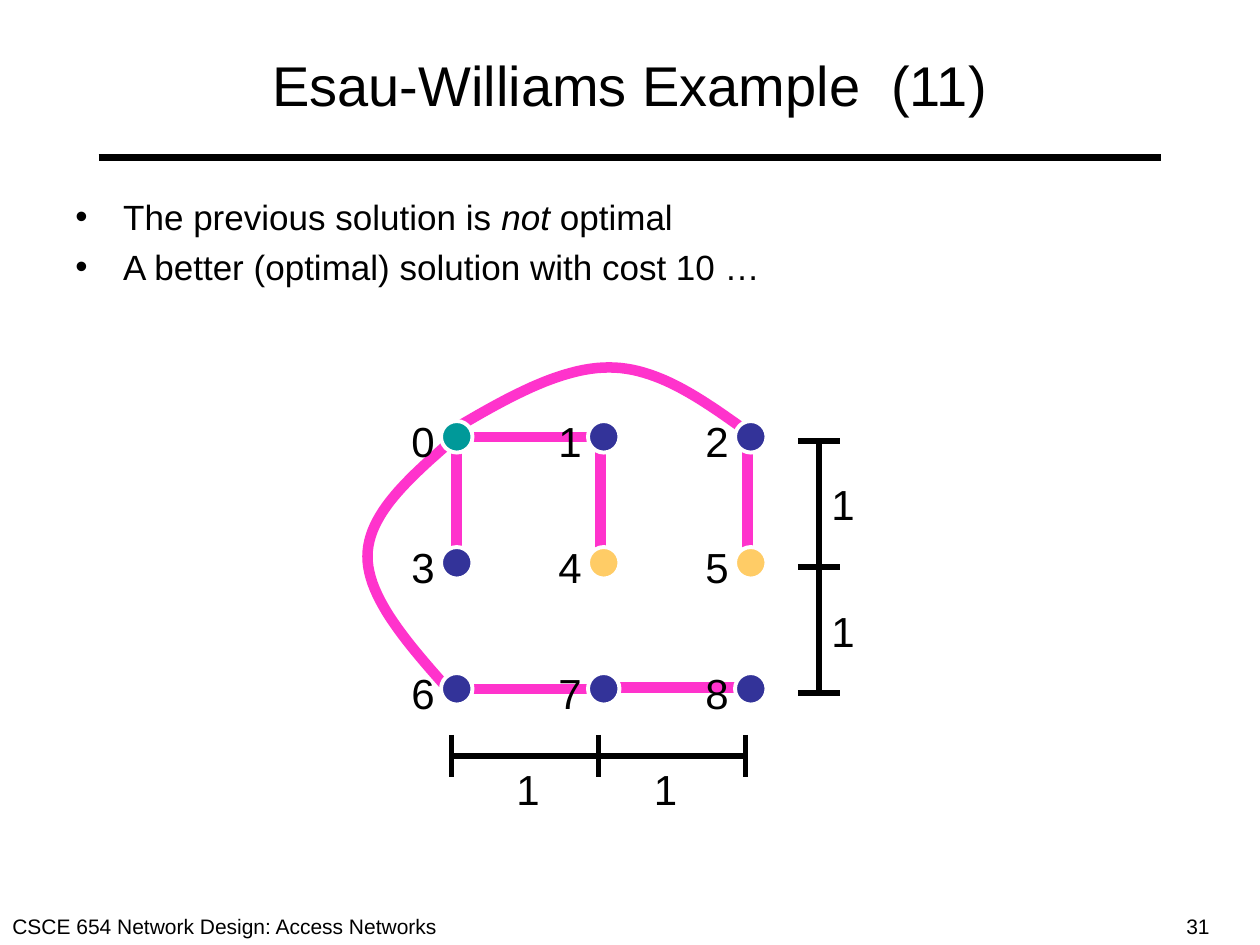
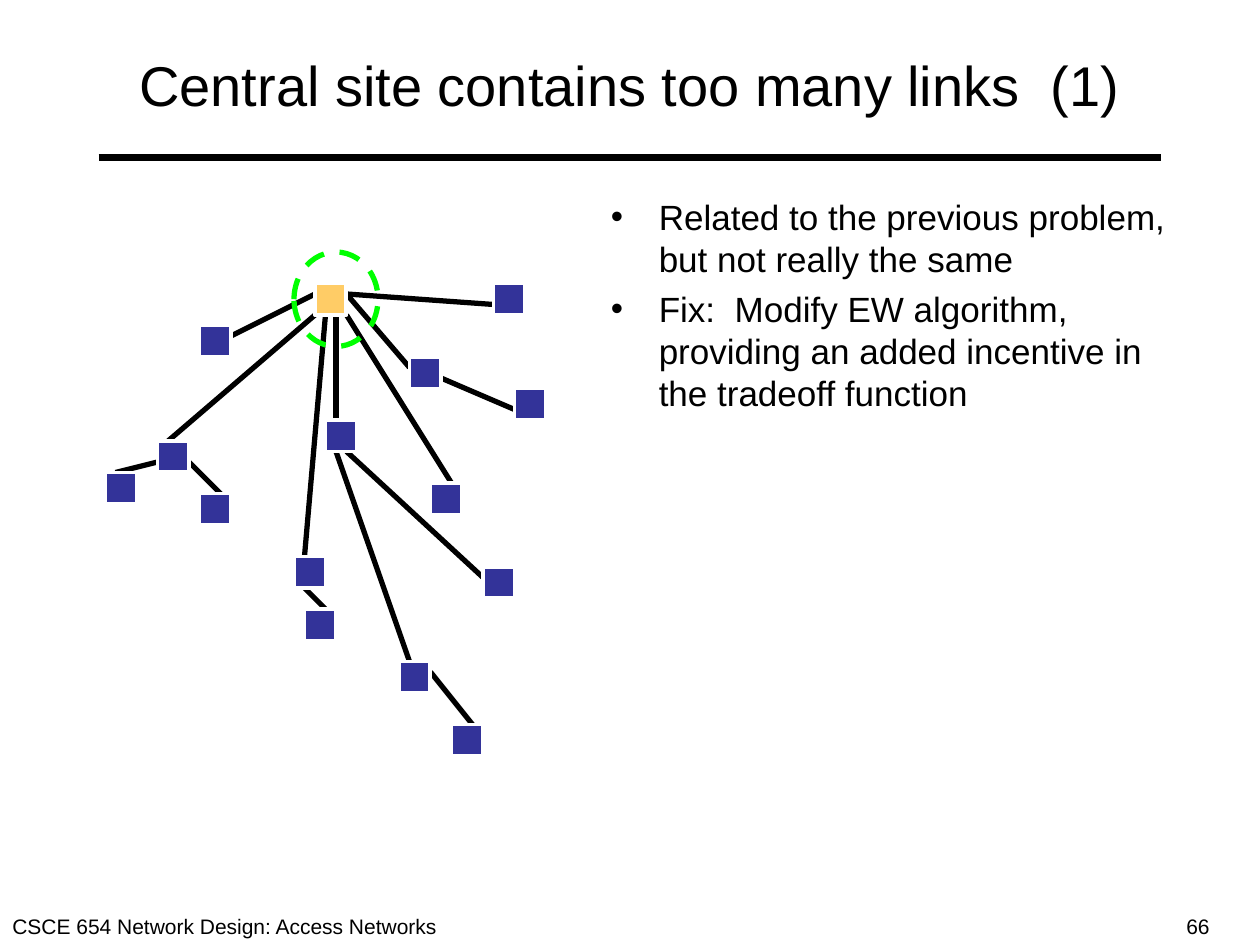
from lxml.etree import SubElement
from pptx import Presentation
from pptx.dml.color import RGBColor
from pptx.enum.dml import MSO_LINE
from pptx.enum.shapes import MSO_CONNECTOR, MSO_SHAPE
from pptx.enum.text import MSO_ANCHOR, MSO_AUTO_SIZE, PP_ALIGN
from pptx.oxml.ns import qn
from pptx.util import Inches, Pt

COLUMNS, ROWS = 120, 90
FONT = "Arial"
BLACK, WHITE = "000000", "FFFFFF"
NAVY, TEAL, AMBER = "333399", "009999", "FFCC66"
PINK, GREEN = "FF33CC", "00FF00"
FOOTER = "CSCE 654 Network Design: Access Networks"


def color(value):
    return RGBColor.from_string(value)


class Deck:
    def __init__(self):
        self.presentation = Presentation()
        self.presentation.slide_width = Inches(10)
        self.presentation.slide_height = Inches(7.5)
        self.slide = None

    def x(self, columns):
        return round(self.presentation.slide_width * columns / COLUMNS)

    def y(self, rows):
        return round(self.presentation.slide_height * rows / ROWS)

    def box(self, left, top, width, height):
        return self.x(left), self.y(top), self.x(width), self.y(height)

    def new_slide(self, title, number):
        self.slide = self.presentation.slides.add_slide(self.presentation.slide_layouts[5])
        shape = self.slide.shapes.title
        shape.left, shape.top, shape.width, shape.height = self.box(6, 2, 108, 12)
        frame = shape.text_frame
        frame.auto_size = MSO_AUTO_SIZE.NONE
        frame.vertical_anchor = MSO_ANCHOR.MIDDLE
        frame.paragraphs[0].alignment = PP_ALIGN.CENTER
        self.run(frame.paragraphs[0], title, 32)
        self.line((9.4, 15), (110.6, 15), width=4.5)
        self.text((0, 86.4, 43, 3.6), FOOTER, 12)
        self.text((111.8, 86.4, 8, 3.6), number, 12)

    def run(self, paragraph, text, size, italic=False):
        run = paragraph.add_run()
        run.text = text
        run.font.name = FONT
        run.font.size = Pt(size)
        run.font.italic = italic
        run.font.color.rgb = color(BLACK)

    def text_frame(self, area):
        frame = self.slide.shapes.add_textbox(*self.box(*area)).text_frame
        frame.word_wrap = True
        return frame

    def text(self, area, text, size=24):
        self.run(self.text_frame(area).paragraphs[0], text, size)

    def bullets(self, area, items):
        frame = self.text_frame(area)
        for index, item in enumerate(items):
            paragraph = frame.add_paragraph() if index else frame.paragraphs[0]
            properties = paragraph._p.get_or_add_pPr()
            properties.set("marL", str(Inches(0.38)))
            properties.set("indent", str(-Inches(0.38)))
            SubElement(properties, qn("a:buFont")).set("typeface", FONT)
            SubElement(properties, qn("a:buChar")).set("char", "•")
            paragraph.space_before = Pt(5 if index else 0)
            for text, italic in item:
                self.run(paragraph, text, 20, italic)

    def line(self, start, end, stroke=BLACK, width=3):
        connector = self.slide.shapes.add_connector(
            MSO_CONNECTOR.STRAIGHT,
            self.x(start[0]), self.y(start[1]), self.x(end[0]), self.y(end[1]))
        connector.line.color.rgb = color(stroke)
        connector.line.width = Pt(width)
        SubElement(connector._element.spPr, qn("a:effectLst"))

    def shape(self, kind, area, fill=None, stroke=WHITE, width=2.25, dash=None):
        shape = self.slide.shapes.add_shape(kind, *self.box(*area))
        if fill:
            shape.fill.solid()
            shape.fill.fore_color.rgb = color(fill)
        self.outline(shape, stroke, width, fill)
        if dash:
            shape.line.dash_style = dash

    def outline(self, shape, stroke, width, fill=None):
        shape.shadow.inherit = False
        if not fill:
            shape.fill.background()
        shape.line.color.rgb = color(stroke)
        shape.line.width = Pt(width)

    def curve(self, start, *segments, steps=24):
        points = [start]
        for first, second, end in segments:
            origin = points[-1]
            for step in range(1, steps + 1):
                t = step / steps
                weights = ((1 - t) ** 3, 3 * t * (1 - t) ** 2, 3 * t * t * (1 - t), t ** 3)
                corners = (origin, first, second, end)
                points.append(tuple(
                    sum(weight * corner[axis] for weight, corner in zip(weights, corners))
                    for axis in (0, 1)))
        places = [(self.x(column), self.y(row)) for column, row in points]
        builder = self.slide.shapes.build_freeform(*places[0])
        builder.add_line_segments(places[1:], close=False)
        self.outline(builder.convert_to_shape(), PINK, 6)


def example_slide(deck):
    deck.new_slide("Esau-Williams Example  (11)", "31")
    deck.bullets((6, 18, 108, 16.6), [
        [("The previous solution is ", False), ("not", True), (" optimal", False)],
        [("A better (optimal) solution with cost 10 …", False)],
    ])

    deck.curve((71, 41), ((66.8, 38), (62.6, 35), (58, 35)),
               ((53.3, 35), (48.1, 38), (43, 41)))
    deck.curve((43, 66), ((39, 61.5), (35, 57), (35, 53)),
               ((35, 49), (39, 45.5), (43, 42)))
    links = [
        ((57.5, 65.5), (71.5, 65.5)), ((57.2, 42), (57.2, 53)),
        ((71.2, 42), (71.2, 53)), ((43.4, 65.6), (57.5, 65.6)),
        ((43.5, 42), (43.5, 53)), ((43.3, 41.6), (57.4, 41.6)),
    ]
    for start, end in links:
        deck.line(start, end, PINK, 6)

    column_step, row_step = 14, 12
    node_colors = {0: TEAL, 4: AMBER, 5: AMBER}
    for node in range(9):
        row, column = divmod(node, 3)
        left, top = 42 + column * column_step, 40.1 + row * row_step
        deck.shape(MSO_SHAPE.OVAL, (left, top, 3, 3), node_colors.get(node, NAVY))
        deck.text((left - 4, top - 1.1, 5, 6), str(node))

    deck.line((78, 42), (78, 66))
    deck.line((43, 72), (71, 72))
    for tick in range(3):
        row, column = 42 + tick * row_step, 43 + tick * column_step
        deck.line((76, row), (80, row))
        deck.line((column, 70), (column, 74))
    for left, top in [(78, 45), (78, 57.1), (61.1, 72.1), (48, 72.1)]:
        deck.text((left, top, 5, 6), "1")


def links_slide(deck):
    deck.new_slide("Central site contains too many links  (1)", "66")
    links = [
        ((30, 30), (16, 42)), ((22, 32), (30, 28)), ((32, 30), (32, 40)),
        ((49, 39), (42, 36)), ((33, 30), (43, 46)), ((15, 44), (11, 45)),
        ((33, 28), (39, 35)), ((29, 56), (31, 58)), ((41, 64), (45, 69)),
        ((22, 48), (18, 44)), ((29, 53), (31, 30)), ((39, 63), (32, 43)),
        ((46, 55), (33, 43)), ((47, 29), (33, 28)),
    ]
    for start, end in links:
        deck.line(start, end)

    central_site = (30, 27)
    sites = [
        (38, 63), (49, 37), (47, 27), (28, 53), (31, 40), (15, 42), (19, 31),
        central_site, (41, 46), (46, 54), (43, 69), (10, 45), (19, 47),
        (39, 34), (29, 58),
    ]
    for site in sites:
        deck.shape(MSO_SHAPE.RECTANGLE, (*site, 3, 3),
                   AMBER if site == central_site else NAVY)
    deck.shape(MSO_SHAPE.OVAL, (28, 24, 8, 9), stroke=GREEN, width=3, dash=MSO_LINE.DASH)

    deck.bullets((57, 18, 57, 62.4), [
        [("Related to the previous problem, but not really the same", False)],
        [("Fix:  Modify EW algorithm, providing an added incentive in the "
          "tradeoff function", False)],
    ])


def main():
    deck = Deck()
    example_slide(deck)
    links_slide(deck)
    deck.presentation.save("out.pptx")


if __name__ == "__main__":
    main()
